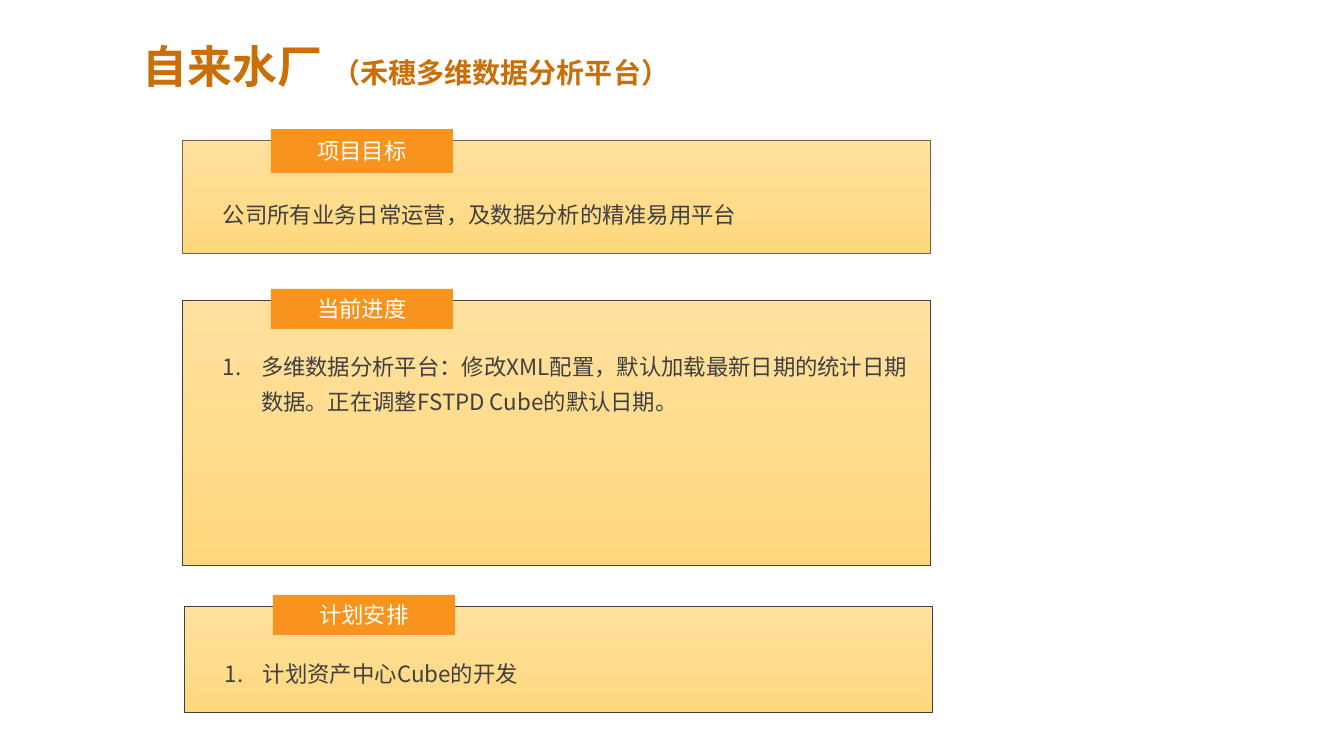
import pptx
import pptx.util
import pptx.dml.color
import pptx.enum.shapes
import pptx.enum.text
import pptx.oxml.ns
import lxml.etree

RGB = pptx.dml.color.RGBColor
BROWN = RGB(0xCA, 0x6F, 0x06)
ORANGE = RGB(0xF8, 0x93, 0x1D)
PALE = RGB(0xFF, 0xE1, 0x9F)
GOLD = RGB(0xFF, 0xD8, 0x7D)
TAUPE = RGB(0x74, 0x62, 0x56)
GREY = RGB(0x40, 0x40, 0x40)
WHITE = RGB(0xFF, 0xFF, 0xFF)

RECT = pptx.enum.shapes.MSO_SHAPE.RECTANGLE
ALIGN = pptx.enum.text.PP_ALIGN
ANCHOR = pptx.enum.text.MSO_ANCHOR
FIT = pptx.enum.text.MSO_AUTO_SIZE
QN = pptx.oxml.ns.qn
SCALE = 914400 / 100.8


def px(*sizes):
    return [pptx.util.Emu(round(size * SCALE)) for size in sizes]


class Board:
    sans = "Noto Sans CJK SC"
    head = "Montserrat"

    def __init__(self, deck):
        self.slide = deck.slides.add_slide(deck.slide_layouts[5])

    def style(self, run, size, color, face=None, bold=False):
        font = run.font
        font.name = face or self.sans
        font.size = pptx.util.Pt(size)
        font.color.rgb = color
        font.bold = bold
        asian = lxml.etree.Element(QN("a:ea"), typeface=self.sans)
        font._element.find(QN("a:latin")).addnext(asian)

    def inset(self, frame, side, top):
        frame.word_wrap = True
        frame.margin_left, frame.margin_right = px(side, side)
        frame.margin_top, frame.margin_bottom = px(top, top)

    def title(self, name, note):
        box = self.slide.shapes.title
        box.left, box.top, box.width, box.height = px(93, 42, 844, 54)
        frame = box.text_frame
        self.inset(frame, 0, 0)
        frame.margin_left = px(50)[0]
        frame.vertical_anchor = ANCHOR.MIDDLE
        frame.auto_size = FIT.NONE
        line = frame.paragraphs[0]
        line.alignment = ALIGN.LEFT
        line.line_spacing = 0.9
        for text, size in ((name + " ", 32), (note, 20)):
            run = line.add_run()
            run.text = text
            self.style(run, size, BROWN, self.head, True)

    def rect(self, *place):
        shape = self.slide.shapes.add_shape(RECT, *px(*place))
        shape.shadow.inherit = False
        return shape

    def panel(self, *place, edge):
        shape = self.rect(*place)
        shape.fill.gradient()
        shape.fill.gradient_angle = 270
        for stop, color, at in zip(shape.fill.gradient_stops, (PALE, GOLD), (0, 1)):
            stop.color.rgb = color
            stop.position = at
        shape.line.color.rgb = edge
        shape.line.width = pptx.util.Pt(0.5)

    def tag(self, text, *place):
        shape = self.rect(*place)
        shape.fill.solid()
        shape.fill.fore_color.rgb = ORANGE
        shape.line.fill.background()
        frame = shape.text_frame
        frame.text = text
        self.inset(frame, 8, 4)
        frame.vertical_anchor = ANCHOR.MIDDLE
        line = frame.paragraphs[0]
        line.alignment = ALIGN.CENTER
        self.style(line.runs[0], 16, WHITE)

    def body(self, text, *place, listed):
        frame = self.slide.shapes.add_textbox(*px(*place)).text_frame
        frame.text = text
        self.inset(frame, 8, 4)
        frame.auto_size = FIT.SHAPE_TO_FIT_TEXT
        line = frame.paragraphs[0]
        line.line_spacing = 1.3
        self.style(line.runs[0], 16, GREY)
        if listed:
            self.number(line)

    def number(self, line):
        """Give the paragraph a hanging 1. 2. 3. number."""
        props = line._p.get_or_add_pPr()
        hang = px(38)[0]
        props.set("marL", str(hang))
        props.set("indent", str(-hang))
        lxml.etree.SubElement(props, QN("a:buFont"), typeface="+mj-lt")
        lxml.etree.SubElement(props, QN("a:buAutoNum"), type="arabicPeriod")

    def block(self, left, top, high, edge, name, tall, text, drop, wide, deep, listed):
        """Draw a panel with its tag and body text; drop is the text's offset."""
        self.panel(left, top, 748, high, edge=edge)
        self.tag(name, left + 89, top - 11, 182, tall)
        self.body(text, left + 33, top + drop, wide, deep, listed=listed)


BLOCKS = [
    (182, 140, 113, TAUPE, "项目目标", 44,
     "公司所有业务日常运营，及数据分析的精准易用平台", 49, 664, 43, False),
    (182, 300, 265, GREY, "当前进度", 40,
     "多维数据分析平台：修改XML配置，默认加载最新日期的统计日期数据。"
     "正在调整FSTPD Cube的默认日期。", 41, 718, 79, True),
    (184, 606, 106, GREY, "计划安排", 40,
     "计划资产中心Cube的开发", 42, 713, 39, True),
]


def main():
    deck = pptx.Presentation()
    deck.slide_width, deck.slide_height = px(1344, 756)
    board = Board(deck)
    board.title("自来水厂", "（禾穗多维数据分析平台）")
    for block in BLOCKS:
        board.block(*block)
    deck.save("out.pptx")


if __name__ == "__main__":
    main()
